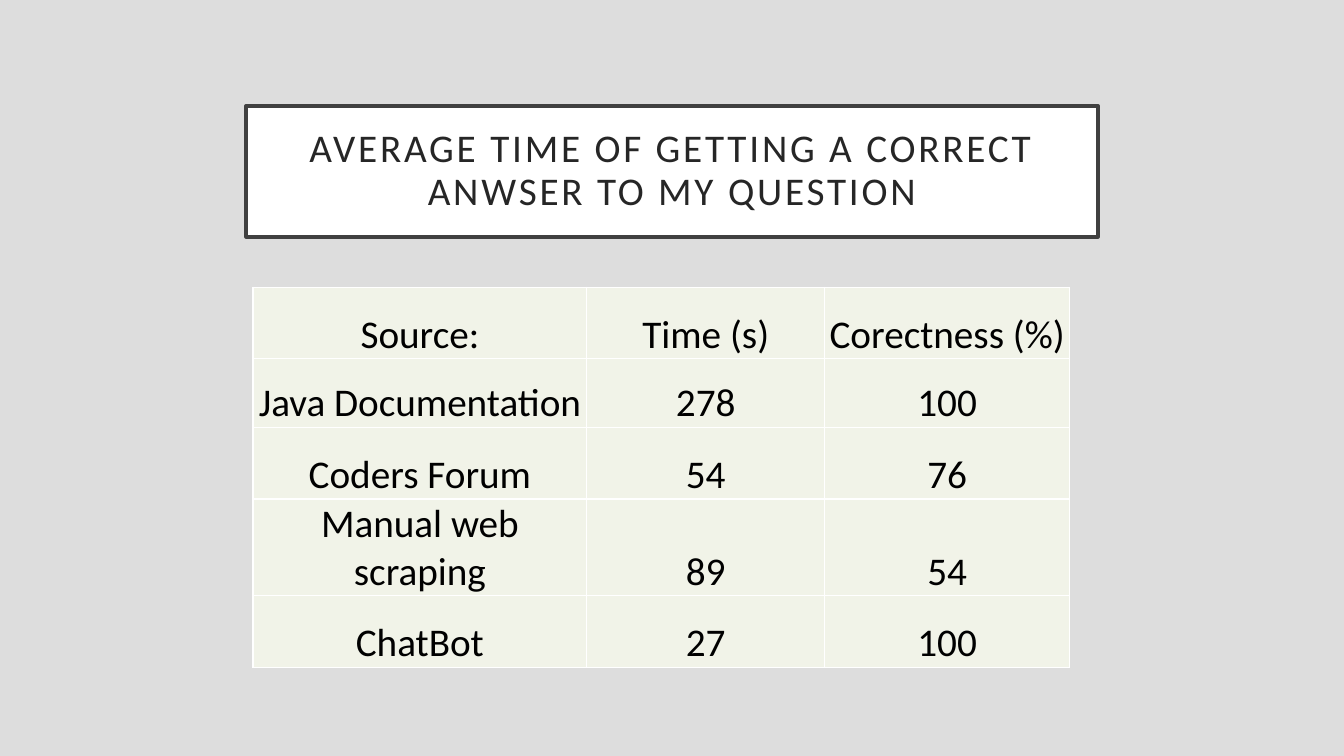
from lxml import etree
from pptx import Presentation
from pptx.dml.color import RGBColor
from pptx.enum.text import MSO_ANCHOR as Anchor, PP_ALIGN as Align
from pptx.oxml.ns import qn
from pptx.util import Inches, Pt

# Content
TITLE = "AVERAGE TIME OF GETTING A CORRECT ANWSER TO MY QUESTION"
ROWS = [
    ("Source:", "Time (s)", "Corectness (%)"),
    ("Java Documentation", "278", "100"),
    ("Coders Forum", "54", "76"),
    ("Manual web scraping", "89", "54"),
    ("ChatBot", "27", "100"),
]
COLUMN_WIDTHS = [3.31, 2.36, 2.43]
ROW_HEIGHTS = [0.71, 0.68, 0.71, 0.71, 0.71]
FONT, SIZE = "Calibri", 28
CELL_FILL, BORDER = "F1F3E8", "FFFFFF"


def paint(fill, color):
    fill.solid()
    fill.fore_color.rgb = RGBColor.from_string(color)


def add_text(frame, text, color):
    paragraph = frame.paragraphs[0]
    paragraph.alignment = Align.CENTER
    run = paragraph.add_run()
    run.text = text
    run.font.name, run.font.size, run.font.bold = FONT, Pt(SIZE), False
    paint(run.font.fill, color)
    return paragraph, run


def add_borders(cell):
    properties = cell._tc.get_or_add_tcPr()
    for index, side in enumerate(("lnL", "lnR", "lnT", "lnB")):
        line = etree.Element(qn(f"a:{side}"), w=str(Pt(1)))
        fill = etree.SubElement(line, qn("a:solidFill"))
        etree.SubElement(fill, qn("a:srgbClr"), val=BORDER)
        properties.insert(index, line)


def add_title(slide):
    title = slide.shapes.title
    title.left, title.top = Inches(2.44), Inches(1.05)
    title.width, title.height = Inches(8.45), Inches(1.3)
    paint(title.fill, "FFFFFF")
    paint(title.line.fill, "404040")
    title.line.width = Pt(2.5)
    frame = title.text_frame
    frame.word_wrap = True
    frame.vertical_anchor = Anchor.MIDDLE
    frame.margin_left = frame.margin_right = Inches(0.2)
    frame.margin_top = frame.margin_bottom = Inches(0.2)
    paragraph, run = add_text(frame, TITLE, "262626")
    paragraph.line_spacing = 0.9
    # Letter spacing in hundredths of a point
    run.font._element.set("spc", "200")


def add_results(slide):
    table = slide.shapes.add_table(
        len(ROWS), len(COLUMN_WIDTHS), Inches(2.51), Inches(2.85),
        Inches(sum(COLUMN_WIDTHS)), Inches(sum(ROW_HEIGHTS))).table
    table.first_row = table.horz_banding = False
    for column, width in zip(table.columns, COLUMN_WIDTHS):
        column.width = Inches(width)
    for row, height, texts in zip(table.rows, ROW_HEIGHTS, ROWS):
        row.height = Inches(height)
        for cell, text in zip(row.cells, texts):
            paint(cell.fill, CELL_FILL)
            add_borders(cell)
            cell.vertical_anchor = Anchor.BOTTOM
            cell.margin_left = cell.margin_right = cell.margin_top = Inches(0.01)
            cell.margin_bottom = 0
            add_text(cell.text_frame, text, "000000")


def main():
    presentation = Presentation()
    presentation.slide_width, presentation.slide_height = Inches(13.33), Inches(7.5)
    slide = presentation.slides.add_slide(presentation.slide_layouts[5])
    paint(slide.background.fill, "DDDDDD")
    add_title(slide)
    add_results(slide)
    presentation.save("out.pptx")


if __name__ == "__main__":
    main()
